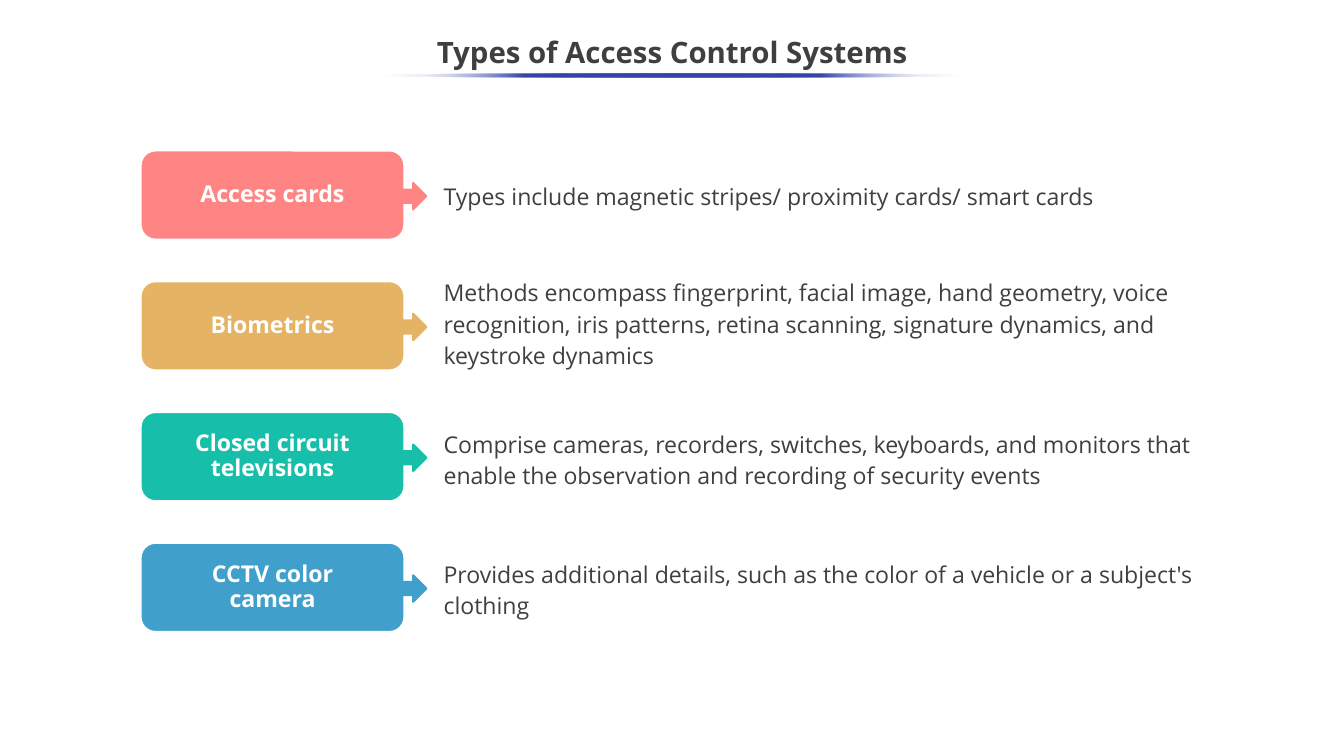
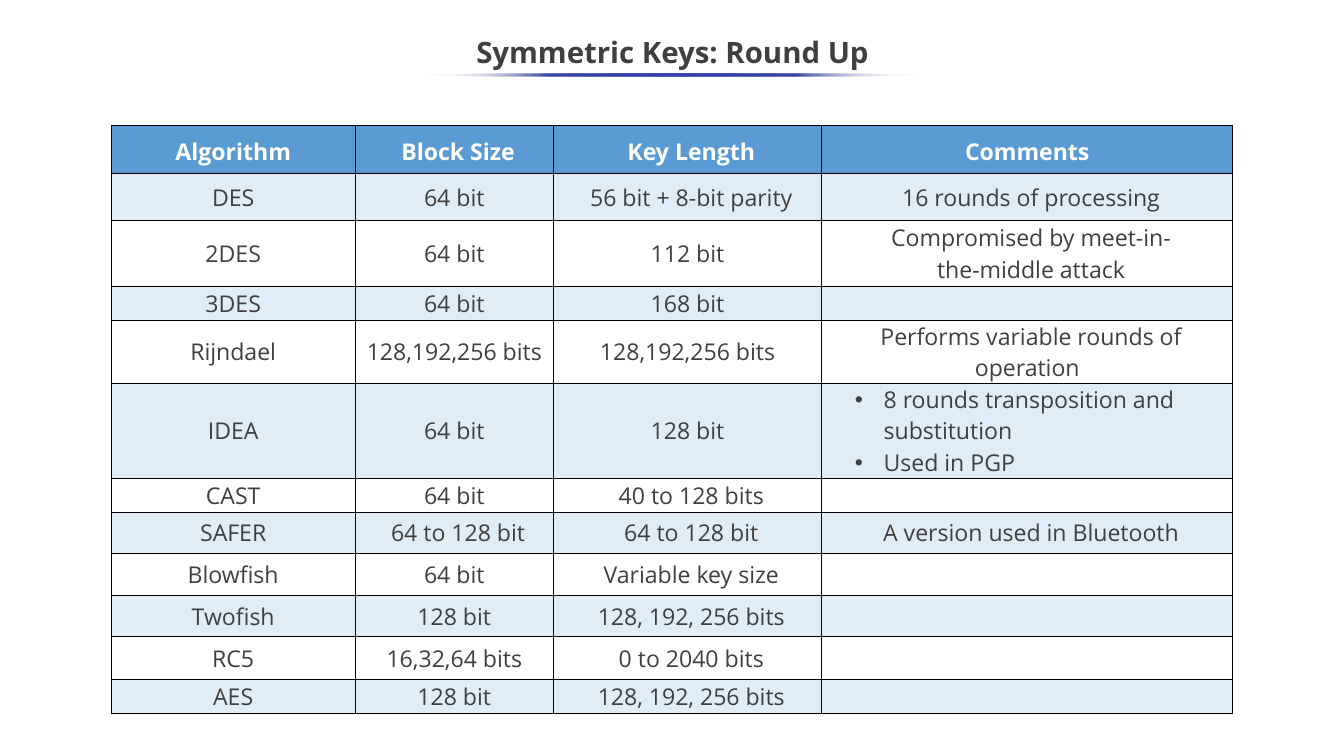
import dataclasses

import pptx
import pptx.dml.color
import pptx.enum.shapes
import pptx.enum.text
import pptx.oxml
import pptx.oxml.ns
import pptx.util

Inches = pptx.util.Inches
Pt = pptx.util.Pt
Preset = pptx.enum.shapes.MSO_SHAPE
Align = pptx.enum.text.PP_ALIGN
Anchor = pptx.enum.text.MSO_ANCHOR
NAMESPACE = pptx.oxml.ns.nsdecls("a")


@dataclasses.dataclass(frozen=True)
class Theme:
    font: str = "Open Sans"
    title_size: int = 28
    body_size: int = 22
    ink: str = "3F3F3F"
    white: str = "FFFFFF"
    black: str = "000000"
    rule: str = "3645A9"
    table_blue: str = "5B9BD4"
    band_alpha: int = 19
    coral: str = "FF8585"
    sand: str = "E4B363"
    teal: str = "17BFAB"
    sky: str = "41A0CB"


THEME = Theme()

# Name, colour, description, and the description's top, width and height
ACCESS_TYPES = [
    ("Access cards", THEME.coral,
     "Types include magnetic stripes/ proximity cards/ smart cards",
     2.31, 10.84, 0.52),
    ("Biometrics", THEME.sand,
     "Methods encompass fingerprint, facial image, hand geometry, voice "
     "recognition, iris patterns, retina scanning, signature dynamics, and "
     "keystroke dynamics",
     3.59, 10.54, 1.37),
    ("Closed circuit televisions", THEME.teal,
     "Comprise cameras, recorders, switches, keyboards, and monitors that "
     "enable the observation and recording of security events",
     5.59, 10.11, 0.95),
    ("CCTV color\ncamera", THEME.sky,
     "Provides additional details, such as the color of a vehicle or a "
     "subject's clothing",
     7.31, 10.5, 0.95),
]

COLUMN_WIDTHS = [3.23, 2.62, 3.55, 5.44]
ROW_HEIGHTS = [0.64, 0.62, 0.87, 0.45, 0.63, 0.83,
               0.45, 0.54, 0.56, 0.55, 0.57, 0.45]
KEY_ROWS = [
    ["Algorithm", "Block Size", "Key Length", "Comments"],
    ["DES", "64 bit", "56 bit + 8-bit parity", "16 rounds of processing"],
    ["2DES", "64 bit", "112 bit", "Compromised by meet-in-\nthe-middle attack"],
    ["3DES", "64 bit", "168 bit", ""],
    ["Rijndael", "128,192,256 bits", "128,192,256 bits",
     "Performs variable rounds of operation"],
    ["IDEA", "64 bit", "128 bit",
     ["8 rounds transposition and substitution", "Used in PGP"]],
    ["CAST", "64 bit", "40 to 128 bits", ""],
    ["SAFER", "64 to 128 bit", "64 to 128 bit", "A version used in Bluetooth"],
    ["Blowfish", "64 bit", "Variable key size", ""],
    ["Twofish", "128 bit", "128, 192, 256 bits", ""],
    ["RC5", "16,32,64 bits", "0 to 2040 bits", ""],
    ["AES", "128 bit", "128, 192, 256 bits", ""],
]
# Rows whose centred text has a first-line indent, by column
INDENTED_ROWS = {0: (), 1: (0, 7), 2: (0, 1, 6, 7, 8, 9, 10, 11),
                 3: range(1, 12)}


def rgb(color):
    return pptx.dml.color.RGBColor.from_string(color)


class Deck:
    def __init__(self, theme):
        self.theme = theme
        self.presentation = pptx.Presentation()
        self.presentation.slide_width = Inches(17.78)
        self.presentation.slide_height = Inches(10)
        self.slide = None

    def fill_text(self, frame, lines, color, size=None, bold=False,
                  align=Align.LEFT, spacing=None, indent=None, bullets=False):
        """Fill a text frame, one paragraph for each line."""
        for number, line in enumerate(lines):
            paragraph = frame.add_paragraph() if number else frame.paragraphs[0]
            paragraph.text = line
            properties = paragraph._p.get_or_add_pPr()
            if bullets:
                self.add_bullet(properties)
            elif indent:
                properties.set("marL", "0")
                properties.set("indent", str(Inches(indent)))
            paragraph.alignment = align
            if spacing:
                paragraph.line_spacing = spacing
            font = paragraph.font
            font.name = self.theme.font
            font.size = Pt(size or self.theme.body_size)
            font.bold = bold
            font.color.rgb = rgb(color)

    def add_bullet(self, properties):
        properties.set("marL", str(Inches(0.82)))
        properties.set("indent", str(Inches(-0.38)))
        for markup in (
            f'<a:buClr {NAMESPACE}><a:srgbClr val="{self.theme.ink}"/></a:buClr>',
            f'<a:buFont {NAMESPACE} typeface="Arial"/>',
            f'<a:buChar {NAMESPACE} char="•"/>',
        ):
            properties.append(pptx.oxml.parse_xml(markup))

    def add_slide(self, title, top, spacing, indent=None):
        layout = self.presentation.slide_layouts[5]
        self.slide = self.presentation.slides.add_slide(layout)
        shape = self.slide.shapes.title
        shape.left, shape.top = Inches(-0.01), Inches(top)
        shape.width, shape.height = Inches(17.8), Inches(0.75)
        frame = shape.text_frame
        frame.auto_size = pptx.enum.text.MSO_AUTO_SIZE.NONE
        frame.vertical_anchor = Anchor.MIDDLE
        self.fill_text(frame, [title], self.theme.ink, self.theme.title_size,
                       True, Align.CENTER, spacing, indent)

    def add_shape(self, preset, left, top, width, height, fill=None, line=None):
        shape = self.slide.shapes.add_shape(
            preset, Inches(left), Inches(top), Inches(width), Inches(height))
        shape.shadow.inherit = False
        if fill:
            shape.fill.solid()
            shape.fill.fore_color.rgb = rgb(fill)
        if line:
            shape.line.color.rgb = rgb(line)
            shape.line.width = Pt(2)
        else:
            shape.line.fill.background()
        return shape

    def add_label(self, text, left, top, width, height, fill):
        shape = self.add_shape(Preset.ROUNDED_RECTANGLE, left, top, width,
                               height, fill, self.theme.white)
        frame = shape.text_frame
        frame.word_wrap = True
        frame.vertical_anchor = Anchor.MIDDLE
        self.fill_text(frame, text.split("\n"), self.theme.white, bold=True,
                       align=Align.CENTER, spacing=0.9)

    def add_text(self, text, left, top, width, height):
        box = self.slide.shapes.add_textbox(
            Inches(left), Inches(top), Inches(width), Inches(height))
        frame = box.text_frame
        frame.word_wrap = True
        frame.auto_size = pptx.enum.text.MSO_AUTO_SIZE.SHAPE_TO_FIT_TEXT
        self.fill_text(frame, [text], self.theme.ink, spacing=Pt(30))

    def add_title_rule(self, left, top, width):
        """Thin ellipse that fades out at both ends."""
        shape = self.add_shape(Preset.OVAL, left, top, width, 0.04)
        clear = f'<a:srgbClr val="{self.theme.white}"><a:alpha val="0"/></a:srgbClr>'
        solid = f'<a:srgbClr val="{self.theme.rule}"/>'
        stops = "".join(
            f'<a:gs pos="{percent * 1000}">{color}</a:gs>'
            for percent, color in zip(range(0, 101, 25),
                                      [clear, solid, solid, solid, clear]))
        gradient = pptx.oxml.parse_xml(
            f'<a:gradFill {NAMESPACE} rotWithShape="1"><a:gsLst>{stops}</a:gsLst>'
            '<a:lin ang="10800000" scaled="0"/></a:gradFill>')
        geometry = shape._element.spPr.find(pptx.oxml.ns.qn("a:prstGeom"))
        geometry.addnext(gradient)

    def add_table(self, rows, left, top, column_widths, row_heights):
        frame = self.slide.shapes.add_table(
            len(rows), len(column_widths), Inches(left), Inches(top),
            Inches(sum(column_widths)), Inches(sum(row_heights)))
        table = frame.table
        table.horz_banding = False
        for column, width in zip(table.columns, column_widths):
            column.width = Inches(width)
        for row, height in zip(table.rows, row_heights):
            row.height = Inches(height)
        for row_number, row in enumerate(rows):
            for column_number, content in enumerate(row):
                cell = table.cell(row_number, column_number)
                self.style_cell(cell, row_number)
                if content:
                    indented = row_number in INDENTED_ROWS[column_number]
                    self.fill_cell(cell, content, row_number == 0, indented)

    def fill_cell(self, cell, content, header, indented):
        bullets = isinstance(content, list)
        self.fill_text(
            cell.text_frame, content if bullets else content.split("\n"),
            self.theme.white if header else self.theme.ink, bold=header,
            align=Align.LEFT if bullets else Align.CENTER,
            spacing=1.15 if header else None,
            indent=0.1 if indented else None, bullets=bullets)

    def style_cell(self, cell, row_number):
        cell.margin_left = cell.margin_right = 0
        cell.margin_top = cell.margin_bottom = 0
        cell.vertical_anchor = Anchor.MIDDLE
        header = row_number == 0
        if header or row_number % 2:
            cell.fill.solid()
            cell.fill.fore_color.rgb = rgb(self.theme.table_blue)
        else:
            cell.fill.background()
        properties = cell._tc.get_or_add_tcPr()
        if row_number % 2:
            color = properties.find(".//" + pptx.oxml.ns.qn("a:srgbClr"))
            color.append(pptx.oxml.parse_xml(
                f'<a:alpha {NAMESPACE} val="{self.theme.band_alpha * 1000}"/>'))
        for position, side in enumerate(("lnL", "lnR", "lnT", "lnB")):
            properties.insert(position, pptx.oxml.parse_xml(
                f'<a:{side} {NAMESPACE} w="{Pt(1)}"><a:solidFill>'
                f'<a:srgbClr val="{self.theme.black}"/></a:solidFill></a:{side}>'))


def build_access_types(deck):
    deck.add_slide("Types of Access Control Systems", 0.34, 0.9)
    first_top, pitch = 1.99, 1.73
    # Labels, descriptions and the arrows between them
    for number, (name, color, text, top, width, height) in enumerate(ACCESS_TYPES):
        label_top = first_top + number * pitch
        deck.add_label(name, 1.86, label_top, 3.49, 1.18, color)
        deck.add_text(text, 5.77, top, width, height)
        deck.add_shape(Preset.RIGHT_ARROW, 5.23, label_top + 0.43, 0.41, 0.35,
                       color, color)
    deck.add_title_rule(4.99, 0.98, 7.8)


def build_symmetric_keys(deck):
    deck.add_slide("Symmetric Keys: Round Up", 0.27, 1.15, indent=0.01)
    deck.add_table(KEY_ROWS, 1.47, 1.66, COLUMN_WIDTHS, ROW_HEIGHTS)
    deck.add_title_rule(5.64, 0.97, 6.5)


def main():
    deck = Deck(THEME)
    build_access_types(deck)
    build_symmetric_keys(deck)
    deck.presentation.save("out.pptx")


if __name__ == "__main__":
    main()
